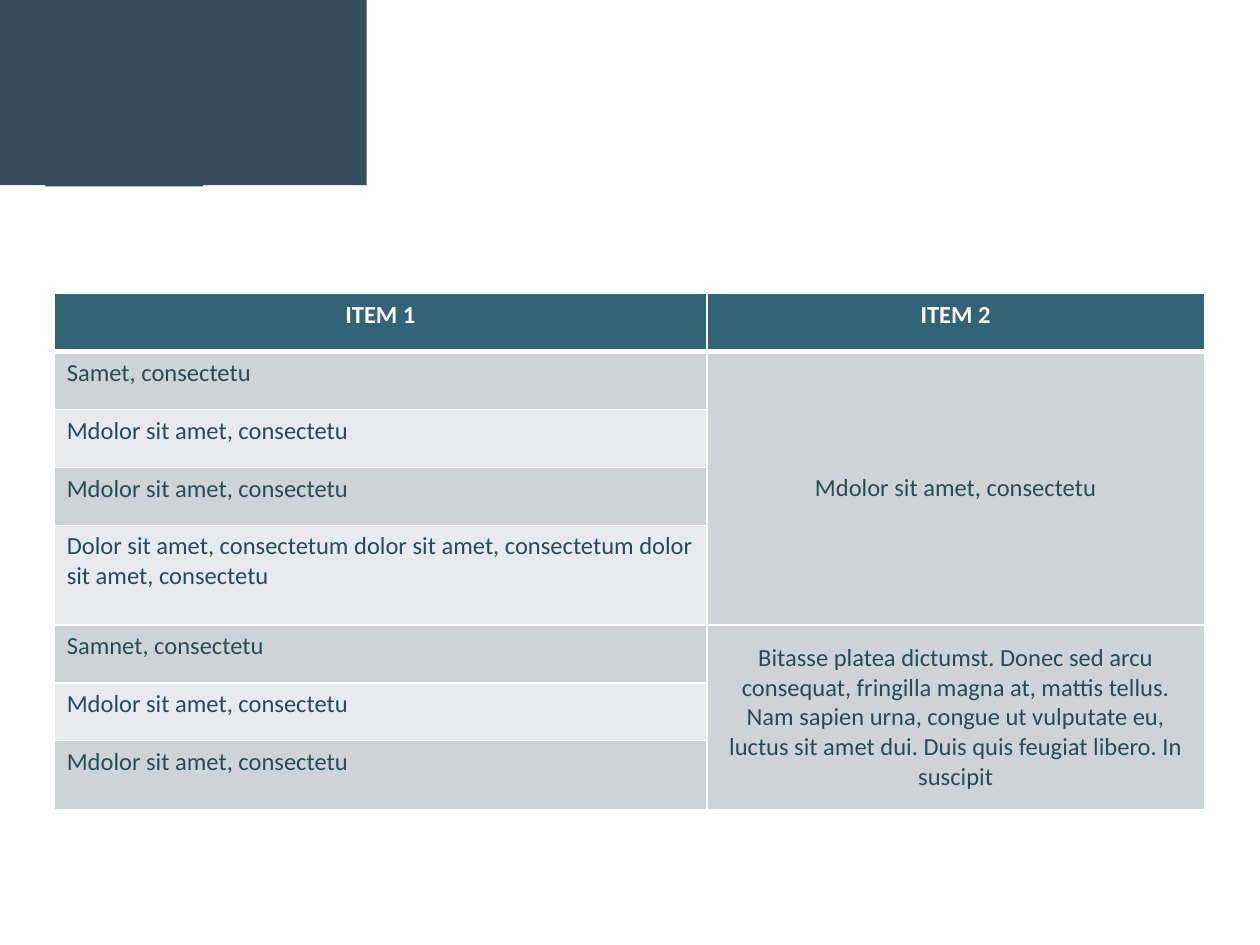
from lxml.etree import SubElement
from pptx import Presentation
from pptx.dml.color import RGBColor
from pptx.enum.shapes import MSO_SHAPE
from pptx.enum.text import MSO_ANCHOR, PP_ALIGN
from pptx.oxml.ns import qn
from pptx.util import Inches, Pt

COLORS = {
    "slate": "354D5A",
    "text": "264C59",
    "header": "326476",
    "band_dark": "CED3D6",
    "band_light": "E8EAEC",
    "white": "FFFFFF",
}
COLUMN_WIDTHS = [5.18, 3.95]
ROW_HEIGHTS = [0.46, 0.46, 0.46, 0.46, 0.79, 0.46, 0.46, 0.55]
HEADERS = ["ITEM 1", "ITEM 2"]
PHRASE = "Mdolor sit amet, consectetu"
ITEMS = [
    "Samet, consectetu",
    PHRASE,
    PHRASE,
    "Dolor sit amet, consectetum dolor sit amet, consectetum dolor "
    "sit amet, consectetu",
    "Samnet, consectetu",
    PHRASE,
    PHRASE,
]
# First row, last row and text of each merged cell in the second column
MERGED_ITEMS = [
    (1, 4, PHRASE),
    (5, 7, "Bitasse platea dictumst. Donec sed arcu consequat, fringilla magna "
           "at, mattis tellus. Nam sapien urna, congue ut vulputate eu, luctus "
           "sit amet dui. Duis quis feugiat libero. In suscipit"),
]


def color(name):
    return RGBColor.from_string(COLORS[name])


def add_block(slide, left, top, width, height, fill):
    shape = slide.shapes.add_shape(
        MSO_SHAPE.RECTANGLE,
        Inches(left), Inches(top), Inches(width), Inches(height))
    shape.shadow.inherit = False
    shape.fill.solid()
    shape.fill.fore_color.rgb = color(fill)
    shape.line.fill.background()


def write_text(cell, text, font_color="text", bold=False,
               align=PP_ALIGN.LEFT, anchor=MSO_ANCHOR.TOP):
    cell.vertical_anchor = anchor
    paragraph = cell.text_frame.paragraphs[0]
    paragraph.alignment = align
    run = paragraph.add_run()
    run.text = text
    run.font.name = "Calibri"
    run.font.size = Pt(14)
    run.font.bold = bold
    run.font.color.rgb = color(font_color)


def set_borders(cell, top=1, bottom=1):
    properties = cell._tc.get_or_add_tcPr()
    for side, width in (("L", 1), ("R", 1), ("T", top), ("B", bottom)):
        line = SubElement(properties, qn(f"a:ln{side}"), w=str(Pt(width)))
        fill = SubElement(line, qn("a:solidFill"))
        SubElement(fill, qn("a:srgbClr"), val=COLORS["white"])


def style_cell(cell, fill, **borders):
    set_borders(cell, **borders)
    cell.fill.solid()
    cell.fill.fore_color.rgb = color(fill)


def add_items_table(slide):
    table = slide.shapes.add_table(
        len(ROW_HEIGHTS), len(COLUMN_WIDTHS), Inches(0.43), Inches(2.33),
        Inches(sum(COLUMN_WIDTHS)), Inches(sum(ROW_HEIGHTS))).table
    for column, width in zip(table.columns, COLUMN_WIDTHS):
        column.width = Inches(width)
    for row, height in zip(table.rows, ROW_HEIGHTS):
        row.height = Inches(height)

    # Header row, set off by a thick rule
    for index, header in enumerate(HEADERS):
        cell = table.cell(0, index)
        style_cell(cell, "header", bottom=3)
        write_text(cell, header, font_color="white", bold=True,
                   align=PP_ALIGN.CENTER)

    # Banded first column beside a plain second column
    for row, item in enumerate(ITEMS, start=1):
        top = 3 if row == 1 else 1
        band = "band_dark" if row % 2 else "band_light"
        style_cell(table.cell(row, 0), band, top=top)
        style_cell(table.cell(row, 1), "band_dark", top=top)
        write_text(table.cell(row, 0), item)

    # Merged cells
    for first, last, text in MERGED_ITEMS:
        cell = table.cell(first, 1)
        cell.merge(table.cell(last, 1))
        write_text(cell, text, align=PP_ALIGN.CENTER, anchor=MSO_ANCHOR.MIDDLE)


def main():
    presentation = Presentation()
    presentation.slide_width = Inches(10)
    presentation.slide_height = Inches(7.5)
    slide = presentation.slides.add_slide(presentation.slide_layouts[6])

    # Corner decoration
    add_block(slide, 0.36, 0.81, 1.25, 0.67, "text")
    add_block(slide, -0.08, 0, 2.99, 1.47, "slate")

    add_items_table(slide)
    presentation.save("out.pptx")


if __name__ == "__main__":
    main()
